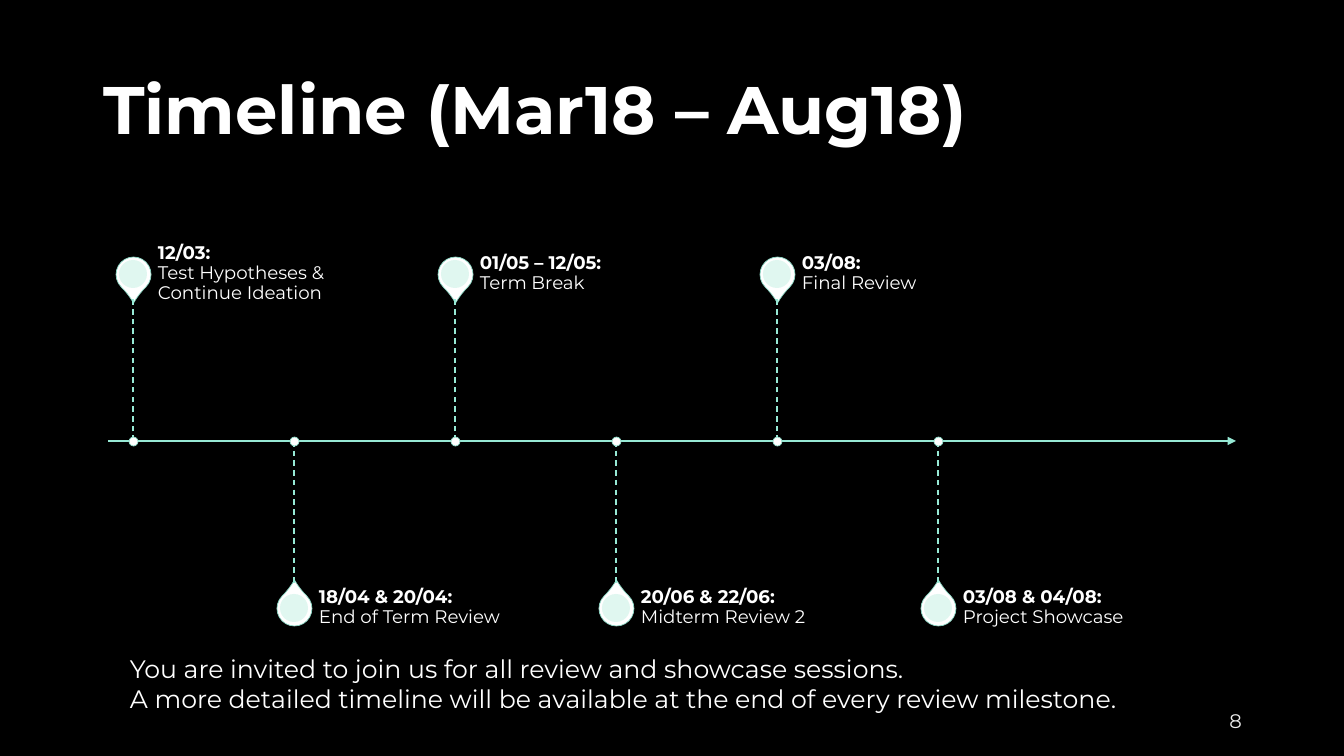
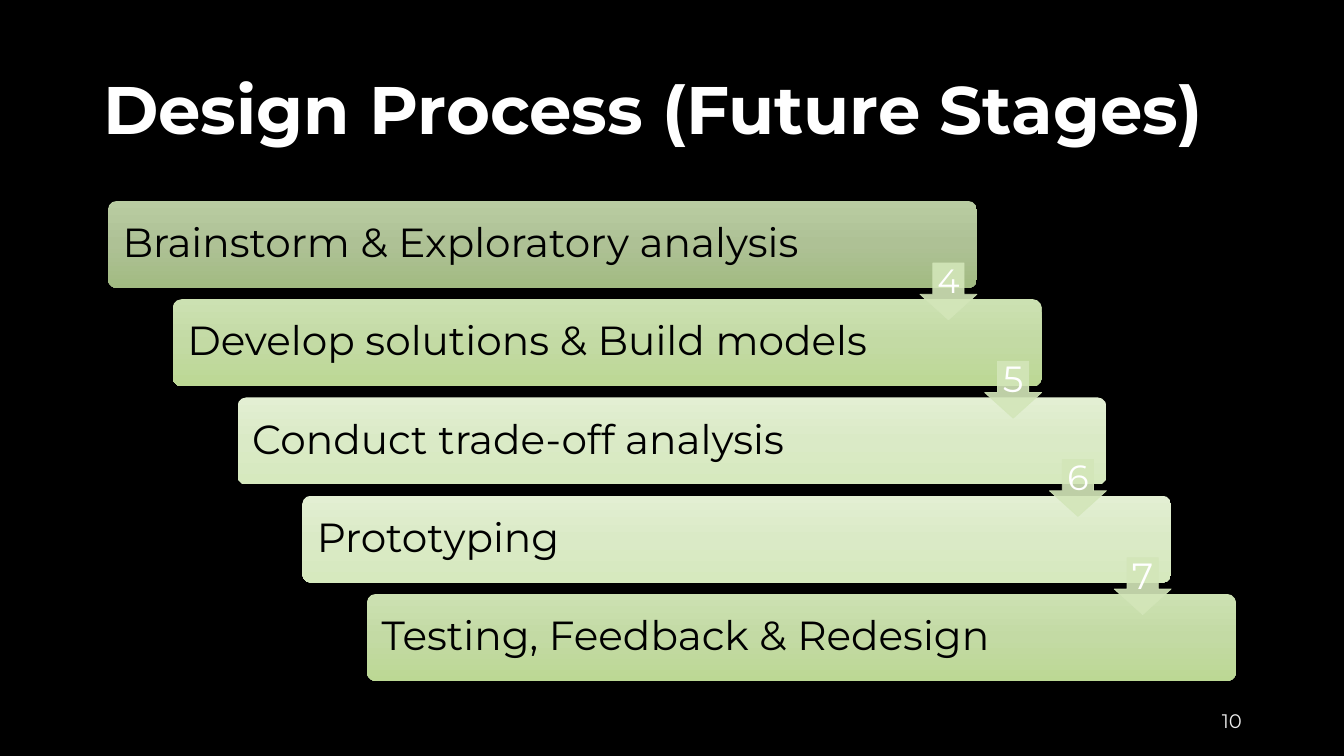
from copy import deepcopy

from lxml.etree import SubElement
from pptx import Presentation
from pptx.dml.color import RGBColor
from pptx.enum.dml import MSO_LINE
from pptx.enum.shapes import MSO_CONNECTOR, MSO_SHAPE
from pptx.enum.text import MSO_ANCHOR, MSO_AUTO_SIZE, PP_ALIGN
from pptx.oxml.ns import qn
from pptx.util import Emu, Pt

SLIDE_WIDTH, SLIDE_HEIGHT = 1344, 756
EMU_PER_PX = 12192000 / SLIDE_WIDTH
FONT = "Montserrat"
BLACK, WHITE = "000000", "FFFFFF"
AXIS_MINT, RIM_MINT, DISC_MINT = "97E9D5", "89D3C1", "DDF7EF"
ARROW_GREEN = "D3E6B9"
OLIVE = ("B9CCA2", "AEC195", "A2BB82")
LEAF = ("CCE1B2", "C3DAA4", "BCD894")
PALE = ("E3EFD3", "DAEAC6", "D6E9BE")
SILVER = ("9E9E9E", "EDEDED", "FFFFFF")

TITLE_BOX = (93, 40, 1159, 146)
NUMBER_BOX = (950, 701, 302, 40)
TIMELINE_BOX = (108, 249, 1128, 384)
NOTE_BOX = (120, 648, 1060, 72)
STEPS_BOX = (108, 201, 1128, 480)

MILESTONES = [
    ("12/03:", ["Test Hypotheses &", "Continue Ideation"]),
    ("18/04 & 20/04:", ["End of Term Review"]),
    ("01/05 – 12/05:", ["Term Break"]),
    ("20/06 & 22/06:", ["Midterm Review 2"]),
    ("03/08:", ["Final Review"]),
    ("03/08 & 04/08:", ["Project Showcase"]),
]
INVITATION = [
    "You are invited to join us for all review and showcase sessions.",
    "A more detailed timeline will be available at the end of every review milestone.",
]
STEPS = [
    ("Brainstorm & Exploratory analysis", OLIVE),
    ("Develop solutions & Build models", LEAF),
    ("Conduct trade-off analysis", PALE),
    ("Prototyping", PALE),
    ("Testing, Feedback & Redesign", LEAF),
]
STEP_NUMBERS = [("4", 24), ("5", 26), ("6", 25), ("7", 26)]


def px(length):
    """Turn pixels into EMU."""
    return Emu(round(length * EMU_PER_PX))


def place(box):
    """Turn a pixel box into EMU lengths."""
    return [px(length) for length in box]


def centred(x, y, size):
    """Return the square box of the given size around a point."""
    return x - size // 2, y - size // 2, size, size


def rgb(color):
    """Turn a hex string into a colour."""
    return RGBColor.from_string(color)


def set_opacity(holder, percent):
    """Make every plain colour inside an element partly transparent."""
    for color in holder.iter(qn("a:srgbClr")):
        SubElement(color, qn("a:alpha")).set("val", str(percent * 1000))


def set_gradient(fill, holder, colors, middle=0.5):
    """Give a fill three colours running from top to bottom."""
    fill.gradient()
    fill.gradient_angle = 270
    stops = next(holder.iter(qn("a:gsLst")))
    stops.insert(1, deepcopy(stops[0]))
    for stop, color, position in zip(fill.gradient_stops, colors, (0, middle, 1)):
        stop.color.rgb = rgb(color)
        stop.position = position


def add_run(paragraph, text, size, color=WHITE, bold=False):
    """Add one formatted run and return it."""
    run = paragraph.add_run()
    run.text = text
    run.font.name = FONT
    run.font.size = Pt(size)
    run.font.bold = bold
    run.font.color.rgb = rgb(color)
    return run


def set_frame(holder, margins=None, align=PP_ALIGN.LEFT, spacing=None,
              anchor=MSO_ANCHOR.MIDDLE, wrap=True):
    """Lay out a text frame and return its first paragraph."""
    frame = holder.text_frame
    frame.word_wrap = wrap
    frame.auto_size = MSO_AUTO_SIZE.NONE
    frame.vertical_anchor = anchor
    if margins:
        (frame.margin_left, frame.margin_top,
         frame.margin_right, frame.margin_bottom) = place(margins)
    paragraph = frame.paragraphs[0]
    paragraph.alignment = align
    paragraph.line_spacing = spacing
    return paragraph


def add_preset(slide, preset, box, fill=None, line=None, opacity=None, adjust=()):
    """Add a flat preset shape."""
    shape = slide.shapes.add_shape(preset, *place(box))
    shape.shadow.inherit = False
    for index, value in enumerate(adjust):
        shape.adjustments[index] = value
    if fill:
        shape.fill.solid()
        shape.fill.fore_color.rgb = rgb(fill)
    if line:
        shape.line.color.rgb = rgb(line)
        shape.line.width = Pt(0.5)
    else:
        shape.line.fill.background()
    if opacity:
        set_opacity(shape._element.spPr, opacity)
    return shape


def add_line(slide, start, end, width, dashed=False, arrow=False):
    """Add a straight mint line."""
    connector = slide.shapes.add_connector(
        MSO_CONNECTOR.STRAIGHT, *place(start), *place(end))
    connector.line.color.rgb = rgb(AXIS_MINT)
    connector.line.width = Pt(width)
    if dashed:
        connector.line.dash_style = MSO_LINE.DASH
    properties = connector._element.spPr
    if arrow:
        SubElement(properties.find(qn("a:ln")), qn("a:tailEnd")).set("type", "triangle")
    SubElement(properties, qn("a:effectLst"))


def add_base_slide(deck, title, number):
    """Add a slide with its title and page number."""
    slide = deck.slides.add_slide(deck.slide_layouts[5])
    heading = slide.shapes.title
    heading.left, heading.top, heading.width, heading.height = place(TITLE_BOX)
    add_run(set_frame(heading, spacing=0.9), title, 48, bold=True)
    page_number = slide.shapes.add_textbox(*place(NUMBER_BOX))
    run = add_run(set_frame(page_number, align=PP_ALIGN.RIGHT), number, 14)
    set_gradient(run.font.fill, run._r, SILVER, middle=0.28)
    return slide


def draw_milestone(slide, x, axis_y, side, date, lines):
    """Draw one pin, its label and its stem; side is -1 above and 1 below."""
    pin_y = axis_y + side * 167
    drop = add_preset(slide, MSO_SHAPE.TEAR, centred(x, pin_y, 35),
                      WHITE, RIM_MINT, adjust=[1.15])
    drop.rotation = 135 if side < 0 else 315
    add_preset(slide, MSO_SHAPE.OVAL, centred(x, pin_y, 28), DISC_MINT, opacity=90)
    label = slide.shapes.add_textbox(*place((x + 25, pin_y - 25, 268, 49)))
    paragraph = set_frame(label, margins=(0, 0, 9, 0), spacing=0.9)
    add_run(paragraph, date, 13, bold=True)
    for line in lines:
        paragraph.add_line_break()
        add_run(paragraph, line, 13)
    add_line(slide, (x, axis_y), (x, axis_y + side * 142), 1, dashed=True)
    add_preset(slide, MSO_SHAPE.OVAL, centred(x, axis_y, 9), WHITE, RIM_MINT)


def draw_timeline(slide, box):
    """Draw the axis with milestones alternating above and below it."""
    left, top, width, height = box
    axis_y = top + height // 2
    add_line(slide, (left, axis_y), (left + width, axis_y), 1.5, arrow=True)
    for index, (date, lines) in enumerate(MILESTONES):
        side = 1 if index % 2 else -1
        draw_milestone(slide, left + 25 + index * 161, axis_y, side, date, lines)


def draw_invitation(slide, box):
    """Write the closing note."""
    note = slide.shapes.add_textbox(*place(box))
    paragraph = set_frame(note, anchor=MSO_ANCHOR.TOP, wrap=False)
    for index, line in enumerate(INVITATION):
        if index:
            paragraph.add_line_break()
        add_run(paragraph, line, 18)


def draw_steps(slide, box):
    """Draw the staircase of bars, then the numbered arrows between them."""
    left, top, width, height = box
    bar_width, bar_height, arrow_size = 869, 87, 57
    gaps = len(STEPS) - 1
    step_x, step_y = (width - bar_width) / gaps, (height - bar_height) / gaps
    for index, (text, colors) in enumerate(STEPS):
        bar = add_preset(
            slide, MSO_SHAPE.ROUNDED_RECTANGLE,
            (left + index * step_x, top + index * step_y, bar_width, bar_height),
            adjust=[0.1])
        set_gradient(bar.fill, bar._element.spPr, colors)
        paragraph = set_frame(bar, margins=(12, 12, 12, 12), spacing=0.9)
        add_run(paragraph, text, 29, BLACK)
    for index, (number, size) in enumerate(STEP_NUMBERS):
        arrow_left = left + index * step_x + bar_width - arrow_size
        arrow = add_preset(
            slide, MSO_SHAPE.DOWN_ARROW,
            (arrow_left, top + index * step_y + 62, arrow_size, arrow_size),
            ARROW_GREEN, ARROW_GREEN, opacity=90, adjust=[0.55, 0.45])
        paragraph = set_frame(arrow, margins=(3, 3, 3, 6),
                              align=PP_ALIGN.CENTER, spacing=0.9)
        add_run(paragraph, number, size)


def main():
    """Build and save the deck."""
    deck = Presentation()
    deck.slide_width, deck.slide_height = place((SLIDE_WIDTH, SLIDE_HEIGHT))
    backdrop = deck.slide_master.background.fill
    backdrop.solid()
    backdrop.fore_color.rgb = rgb(BLACK)

    timeline = add_base_slide(deck, "Timeline (Mar18 – Aug18)", "8")
    draw_timeline(timeline, TIMELINE_BOX)
    draw_invitation(timeline, NOTE_BOX)

    process = add_base_slide(deck, "Design Process (Future Stages)", "10")
    draw_steps(process, STEPS_BOX)
    deck.save("out.pptx")


if __name__ == "__main__":
    main()
